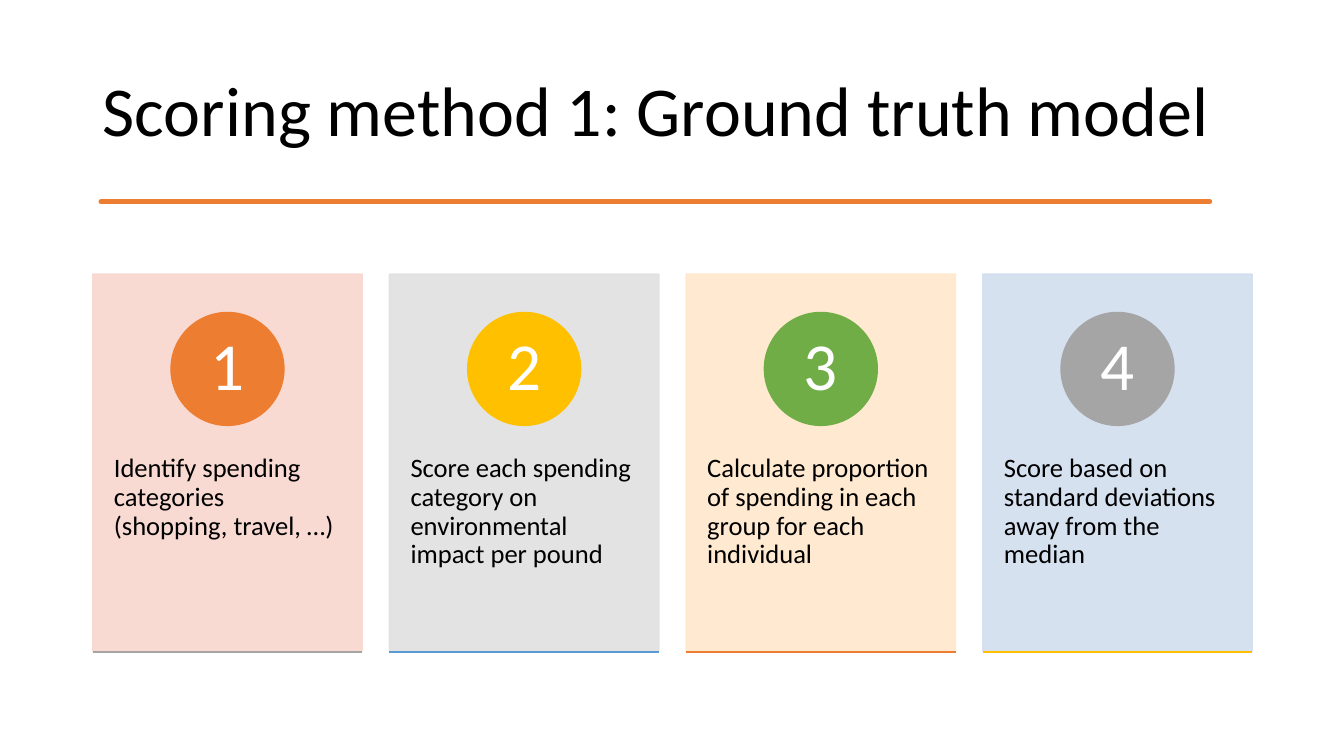
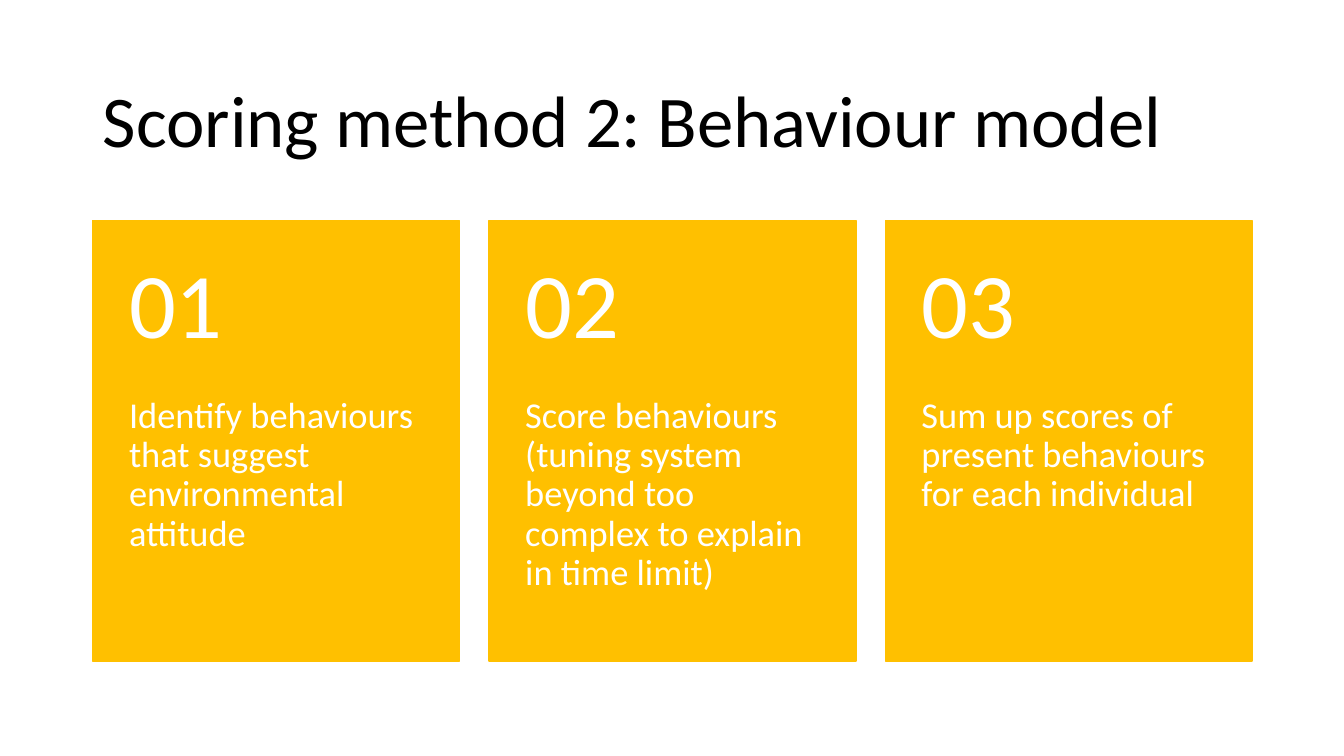
from lxml.etree import SubElement
from pptx import Presentation
from pptx.dml.color import RGBColor
from pptx.enum.shapes import MSO_CONNECTOR, MSO_SHAPE
from pptx.enum.text import MSO_ANCHOR, MSO_AUTO_SIZE, PP_ALIGN
from pptx.oxml.ns import qn
from pptx.util import Inches, Pt

FONT = "Calibri"
COLORS = {
    "black": "000000", "white": "FFFFFF", "orange": "ED7D31", "gold": "FFC000",
    "green": "70AD47", "gray": "A5A5A5", "blue": "5B9BD5", "pale_red": "F8D7CE",
    "pale_gray": "E1E1E1", "pale_orange": "FFE8CC", "pale_blue": "D2DEEF",
}
TRUTH_TITLE = "Scoring method 1: Ground truth model"
TRUTH_STEPS = [
    ("Identify spending categories (shopping, travel, …)", "pale_red", "orange", "gray"),
    ("Score each spending category on environmental impact per pound", "pale_gray", "gold", "blue"),
    ("Calculate proportion of spending in each group for each individual",
     "pale_orange", "green", "orange"),
    ("Score based on standard deviations away from the median", "pale_blue", "gray", "gold"),
]
BEHAVIOUR_TITLE = "Scoring method 2: Behaviour model"
BEHAVIOUR_STEPS = [
    "Identify behaviours that suggest environmental attitude",
    "Score behaviours (tuning system beyond too complex to explain in time limit)",
    "Sum up scores of present behaviours for each individual",
]
BRUSH_EDGES = [
    (0.92, 2.04, 2.06), (1.5, 2.03, 2.07), (1.9, 2.04, 2.06), (2.2, 2.04, 2.06),
    (2.7, 2.04, 2.05), (3.1, 2.04, 2.05), (3.6, 2.03, 2.05), (3.8, 2.04, 2.07),
    (4.1, 2.05, 2.07), (4.6, 2.04, 2.06), (5.1, 2.04, 2.06), (5.7, 2.05, 2.07),
    (6.0, 2.03, 2.07), (6.4, 2.04, 2.06), (6.9, 2.02, 2.07), (7.3, 2.04, 2.06),
    (7.8, 2.05, 2.06), (8.2, 2.04, 2.05), (8.6, 2.04, 2.08), (9.0, 2.04, 2.07),
    (9.4, 2.03, 2.06), (9.8, 2.03, 2.06), (10.4, 2.04, 2.06), (11.3, 2.03, 2.08),
    (11.8, 2.04, 2.06), (12.32, 2.04, 2.06),
]
LEFT, CONTENT_WIDTH = 0.92, 11.5


def color(name):
    return RGBColor.from_string(COLORS[name])


def columns(count, gap):
    width = (CONTENT_WIDTH - gap * (count - 1)) / count
    return width, [LEFT + index * (width + gap) for index in range(count)]


def write(shape, text, size, ink, margins=(0.1, 0.05, 0.1, 0.05),
          anchor=MSO_ANCHOR.TOP, align=PP_ALIGN.LEFT):
    frame = shape.text_frame
    frame.text = text
    frame.word_wrap = True
    frame.auto_size = MSO_AUTO_SIZE.NONE
    frame.vertical_anchor = anchor
    (frame.margin_left, frame.margin_top,
     frame.margin_right, frame.margin_bottom) = map(Inches, margins)
    para = frame.paragraphs[0]
    para.alignment = align
    para.line_spacing = 0.9
    para.font.name = FONT
    para.font.size = Pt(size)
    para.font.color.rgb = color(ink)


def add_text(page, area, text, size, ink, margins, anchor=MSO_ANCHOR.TOP):
    box = page.shapes.add_textbox(*map(Inches, area))
    write(box, text, size, ink, margins, anchor)


def paint(shape, name, line_width=1, opacity=100):
    shape.shadow.inherit = False
    shape.fill.solid()
    shape.fill.fore_color.rgb = color(name)
    shape.line.color.rgb = color(name)
    shape.line.width = Pt(line_width)
    if opacity < 100:
        for tint in shape._element.spPr.iter(qn("a:srgbClr")):
            SubElement(tint, qn("a:alpha")).set("val", str(opacity * 1000))


def add_block(page, kind, area, name, opacity=100):
    block = page.shapes.add_shape(kind, *map(Inches, area))
    paint(block, name, opacity=opacity)
    return block


def add_rule(page, left, top, width, name):
    rule = page.shapes.add_connector(
        MSO_CONNECTOR.STRAIGHT, *map(Inches, (left, top, left + width, top)))
    rule.line.color.rgb = color(name)
    rule.line.width = Pt(1)
    SubElement(rule._element.spPr, qn("a:effectLst"))


def add_page(deck, text, top, height, size):
    page = deck.slides.add_slide(deck.slide_layouts[5])
    title = page.shapes.title
    title.left, title.top, title.width, title.height = map(
        Inches, (LEFT, top, CONTENT_WIDTH, height))
    write(title, text, size, "black", anchor=MSO_ANCHOR.MIDDLE)
    return page


def add_brush(page):
    upper = [(x, top) for x, top, bottom in BRUSH_EDGES]
    lower = [(x, bottom) for x, top, bottom in reversed(BRUSH_EDGES)]
    outline = page.shapes.build_freeform(*upper[0], scale=Inches(1))
    outline.add_line_segments(upper[1:] + lower, close=True)
    paint(outline.convert_to_shape(), "orange", 3.25)


def build_truth_page(deck):
    page = add_page(deck, TRUTH_TITLE, 0.4, 1.45, 50)
    add_brush(page)
    top, height, disc = 2.72, 3.74, 1.12
    width, lefts = columns(len(TRUTH_STEPS), 0.27)
    for number, (left, step) in enumerate(zip(lefts, TRUTH_STEPS), 1):
        text, card, badge, rule = step
        add_block(page, MSO_SHAPE.RECTANGLE, (left, top, width, height), card, 90)
        add_text(page, (left, 4.15, width, 2.25), text, 19, "black", (0.21, 0.36, 0.21, 0.36))
        circle = add_block(page, MSO_SHAPE.OVAL,
                           (left + (width - disc) / 2, 3.1, disc, disc), badge)
        write(circle, str(number), 48, "white", (0.09, 0.01, 0.09, 0.01),
              MSO_ANCHOR.MIDDLE, PP_ALIGN.CENTER)
        add_rule(page, left, top + height + 0.01, width, rule)


def build_behaviour_page(deck):
    page = add_page(deck, BEHAVIOUR_TITLE, 0.61, 1.24, 52)
    top, height = 2.19, 4.37
    head = height * 0.4
    width, lefts = columns(len(BEHAVIOUR_STEPS), 0.29)
    for number, (left, text) in enumerate(zip(lefts, BEHAVIOUR_STEPS), 1):
        add_block(page, MSO_SHAPE.RECTANGLE, (left, top, width, height), "gold")
        add_text(page, (left, top + head, width, height - head), text, 26, "white",
                 (0.36, 0, 0.36, 0.36))
        add_text(page, (left, top, width, head), f"{number:02}", 66, "white",
                 (0.36, 0.18, 0.36, 0.18), MSO_ANCHOR.MIDDLE)


deck = Presentation()
deck.slide_width, deck.slide_height = Inches(13.33), Inches(7.5)
build_truth_page(deck)
build_behaviour_page(deck)
deck.save("out.pptx")
